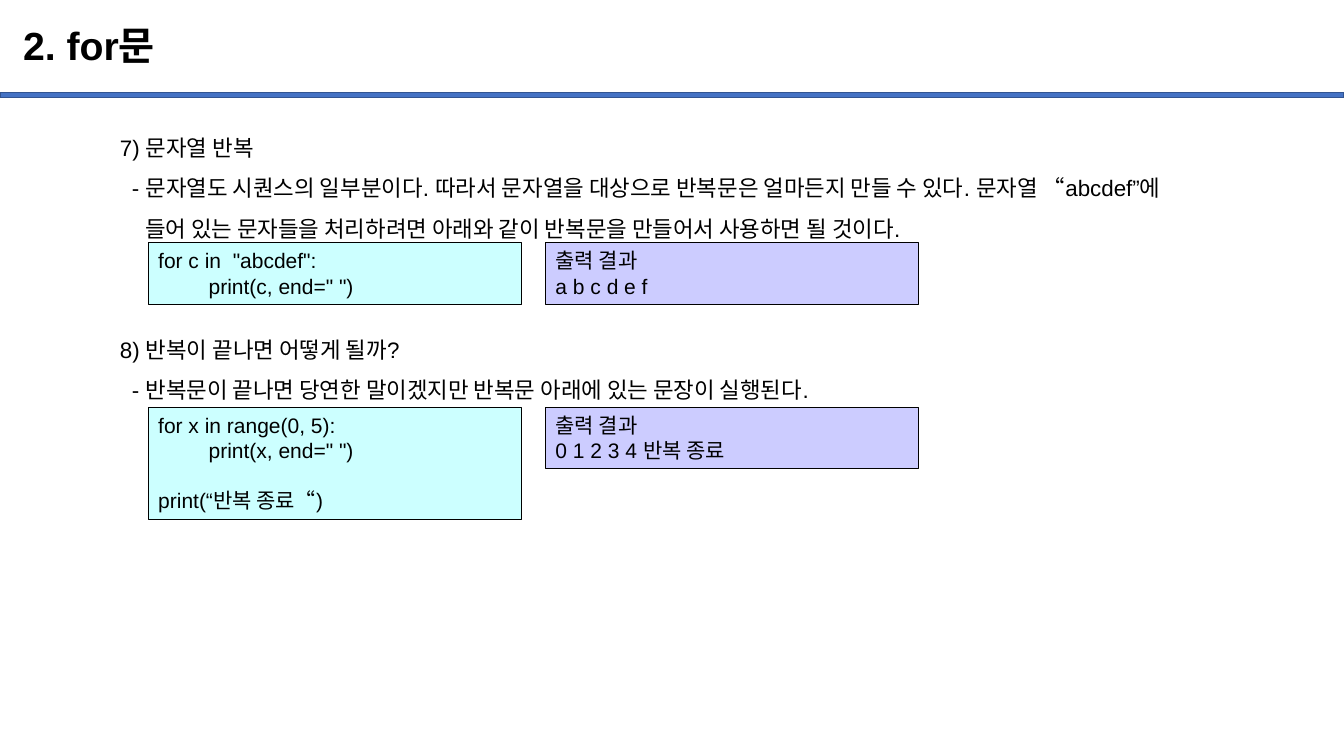
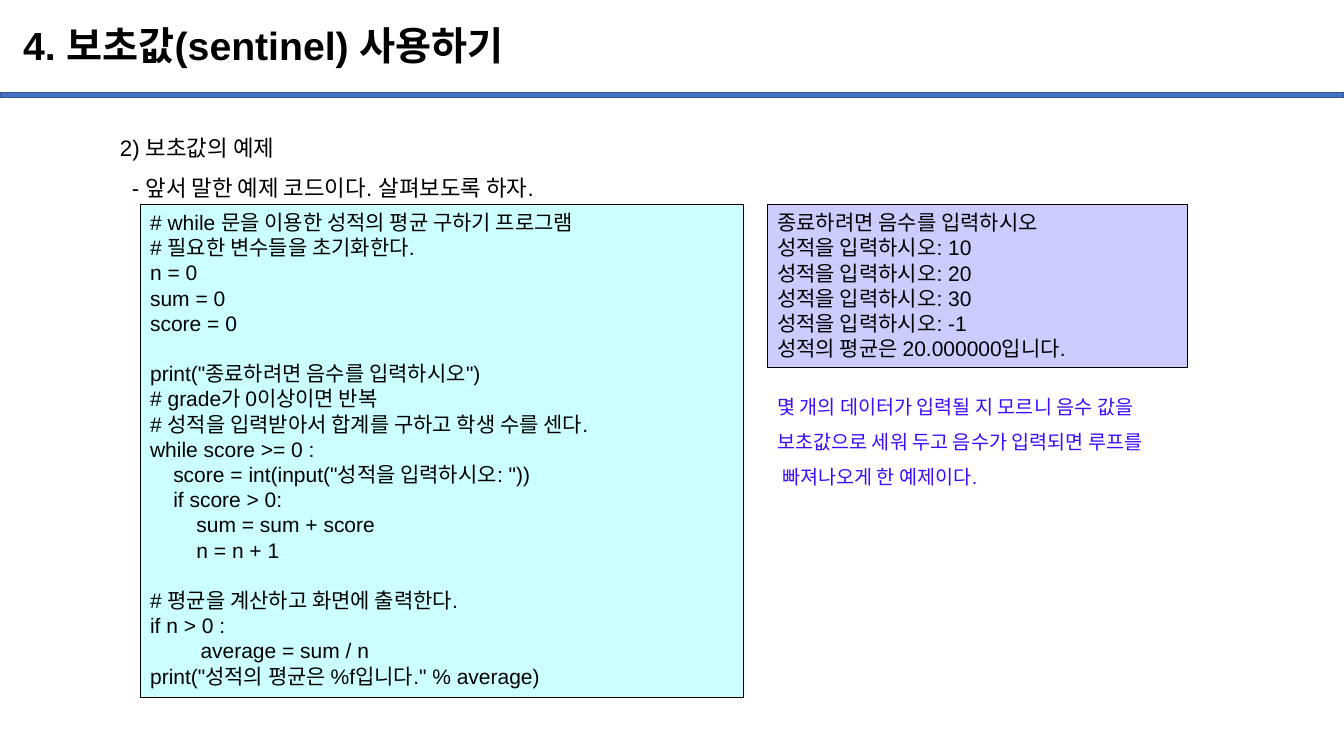
"""Build two lecture slides on Python loops."""
from collections import namedtuple

from pptx import Presentation
from pptx.dml.color import RGBColor
from pptx.enum.shapes import MSO_SHAPE
from pptx.enum.text import MSO_ANCHOR, PP_ALIGN
from pptx.util import Inches, Pt

RECTANGLE = MSO_SHAPE.RECTANGLE
TOP, MIDDLE = MSO_ANCHOR.TOP, MSO_ANCHOR.MIDDLE
LEFT = PP_ALIGN.LEFT

WIDTH, HEIGHT = 13.33, 7.5
FONT = "Arial"
COLORS = {
    "text": "000000",
    "note": "3F0BFD",
    "band": "4472C4",
    "band_line": "325491",
    "code": "CCFFFF",
    "output": "CCCCFF",
    "box_line": "000000",
}
TITLE_SIZE, BODY_SIZE, CODE_SIZE, NOTE_SIZE = 28, 16, 15, 14
BODY_LEFT, BODY_TOP, BODY_WIDTH = 8.18, 15.33, 87.92
LINE_SHARE, PADDING_SHARE = 3.36, 1.4
GUTTER = 1.8
DASH, CONTINUED = 0.12, 0.25
STEP, TAB = 0.23, 0.5
EMPTY_LINE = 18

Line = namedtuple("Line", "text indent gap", defaults=(0, 0))


def color(name):
    """Return a palette colour."""
    return RGBColor.from_string(COLORS[name])


def area(left, top, width, height):
    """Turn percentages of the slide into lengths."""
    return [Inches(share * side / 100) for share, side in
            zip((left, top, width, height), (WIDTH, HEIGHT) * 2)]


def write(shape, lines, size, ink="text", spacing=1.0, bold=False, anchor=TOP):
    """Fill a shape with formatted lines, one paragraph each."""
    frame = shape.text_frame
    frame.word_wrap = True
    frame.vertical_anchor = anchor
    frame.text = "\n".join(line.text for line in lines)
    for paragraph, line in zip(frame.paragraphs, lines):
        paragraph.alignment = LEFT
        paragraph.line_spacing = spacing
        paragraph.space_before = Pt(line.gap)
        if line.indent:
            properties = paragraph._p.get_or_add_pPr()
            properties.set("marL", str(Inches(line.indent)))
        for run in paragraph.runs:
            run.font.name = FONT
            run.font.size = Pt(size)
            run.font.bold = bold
            run.font.color.rgb = color(ink)


def add_rectangle(slide, place, fill, outline, weight):
    """Draw a flat outlined rectangle."""
    rectangle = slide.shapes.add_shape(RECTANGLE, *area(*place))
    rectangle.shadow.inherit = False
    rectangle.fill.solid()
    rectangle.fill.fore_color.rgb = color(fill)
    rectangle.line.color.rgb = color(outline)
    rectangle.line.width = Pt(weight)
    return rectangle


def add_text(slide, place, lines, size, **style):
    """Place a plain text block."""
    write(slide.shapes.add_textbox(*area(*place)), lines, size, **style)


def add_listing(slide, left, top, width, lines, fill):
    """Place a code or output box as tall as its lines need."""
    rows = len(lines) + sum(line.gap > 0 for line in lines)
    place = left, top, width, rows * LINE_SHARE + PADDING_SHARE
    write(add_rectangle(slide, place, fill, "box_line", 0.75), lines, CODE_SIZE)


def add_example(slide, left, top, widths, code, output):
    """Place code with its output to the right."""
    add_listing(slide, left, top, widths[0], code, "code")
    add_listing(slide, left + widths[0] + GUTTER, top, widths[1], output, "output")


def add_section(slide, top, lines):
    """Place a numbered heading with its explanation."""
    place = BODY_LEFT, top, BODY_WIDTH, 5.6 * len(lines)
    add_text(slide, place, lines, BODY_SIZE, spacing=1.5)


def add_lesson(deck, title):
    """Add a slide with the shared title and band."""
    slide = deck.slides.add_slide(deck.slide_layouts[6])
    add_rectangle(slide, (0, 12.27, 100, 0.67), "band", "band_line", 1)
    add_text(slide, (0.98, 1.33, 86.27, 9.87), [Line(title)], TITLE_SIZE,
             spacing=0.9, bold=True, anchor=MIDDLE)
    return slide


def build_for_lesson(deck):
    """Build the slide on iterating with for."""
    slide = add_lesson(deck, "2. for문")
    left, widths = 11.03, (27.76, 27.76)
    add_section(slide, BODY_TOP, [
        Line("7) 문자열 반복"),
        Line("- 문자열도 시퀀스의 일부분이다. 따라서 문자열을 대상으로 반복문은 "
             "얼마든지 만들 수 있다. 문자열 “abcdef”에", DASH),
        Line("들어 있는 문자들을 처리하려면 아래와 같이 반복문을 만들어서 "
             "사용하면 될 것이다.", CONTINUED),
    ])
    add_example(slide, left, 32.13, widths,
                [Line('for c in  "abcdef":'), Line('print(c, end=" ")', TAB)],
                [Line("출력 결과"), Line("a b c d e f")])
    add_section(slide, 42, [
        Line("8) 반복이 끝나면 어떻게 될까?"),
        Line("- 반복문이 끝나면 당연한 말이겠지만 반복문 아래에 있는 문장이 "
             "실행된다.", DASH),
    ])
    add_example(slide, left, 53.87, widths,
                [Line("for x in range(0, 5):"), Line('print(x, end=" ")', TAB),
                 Line("print(“반복 종료“)", gap=EMPTY_LINE)],
                [Line("출력 결과"), Line("0 1 2 3 4 반복 종료")])


def build_sentinel_lesson(deck):
    """Build the slide on sentinel values."""
    slide = add_lesson(deck, "4. 보초값(sentinel) 사용하기")
    left, widths = 10.43, (44.86, 31.28)
    add_section(slide, BODY_TOP, [
        Line("2) 보초값의 예제"),
        Line("- 앞서 말한 예제 코드이다. 살펴보도록 하자.", DASH),
    ])
    code = [
        Line("# while 문을 이용한 성적의 평균 구하기 프로그램"),
        Line("# 필요한 변수들을 초기화한다."),
        Line("n = 0"),
        Line("sum = 0"),
        Line("score = 0"),
        Line('print("종료하려면 음수를 입력하시오")', gap=EMPTY_LINE),
        Line("# grade가 0이상이면 반복"),
        Line("# 성적을 입력받아서 합계를 구하고 학생 수를 센다."),
        Line("while score >= 0 :"),
        Line('score = int(input("성적을 입력하시오: "))', STEP),
        Line("if score > 0:", STEP),
        Line("sum = sum + score", 2 * STEP),
        Line("n = n + 1", 2 * STEP),
        Line("# 평균을 계산하고 화면에 출력한다.", gap=EMPTY_LINE),
        Line("if n > 0 :"),
        Line("average = sum / n", TAB),
        Line('print("성적의 평균은 %f입니다." % average)'),
    ]
    output = [
        Line("종료하려면 음수를 입력하시오"),
        *(Line(f"성적을 입력하시오: {score}") for score in (10, 20, 30, -1)),
        Line("성적의 평균은 20.000000입니다."),
    ]
    add_example(slide, left, 27.07, widths, code, output)
    add_text(slide, (left + widths[0] + GUTTER, 50, 32.48, 14.93), [
        Line("몇 개의 데이터가 입력될 지 모르니 음수 값을"),
        Line("보초값으로 세워 두고 음수가 입력되면 루프를"),
        Line("빠져나오게 한 예제이다.", 0.05),
    ], NOTE_SIZE, ink="note", spacing=1.5)


def main():
    """Build and save the deck."""
    deck = Presentation()
    deck.slide_width, deck.slide_height = Inches(WIDTH), Inches(HEIGHT)
    build_for_lesson(deck)
    build_sentinel_lesson(deck)
    deck.save("out.pptx")


if __name__ == "__main__":
    main()
